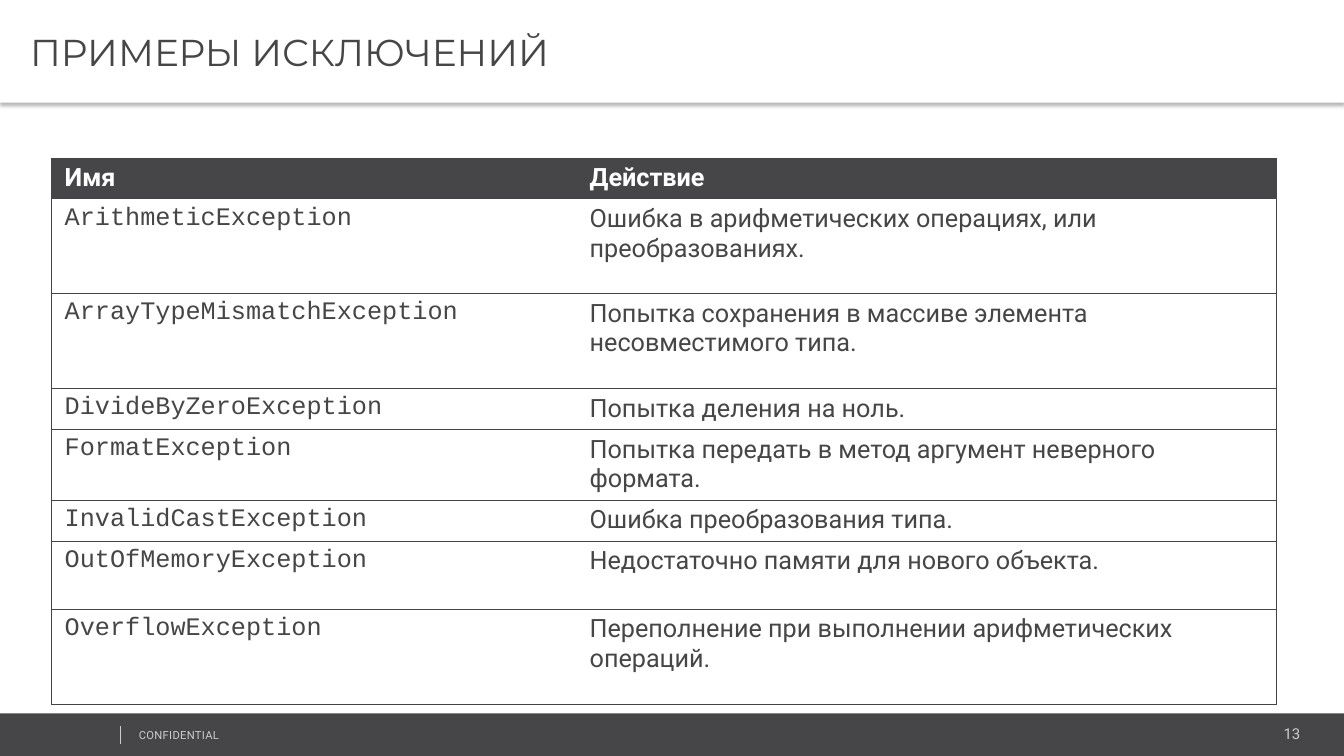
from dataclasses import dataclass

from lxml.etree import SubElement
from pptx import Presentation
from pptx.dml.color import RGBColor as Rgb
from pptx.enum.shapes import MSO_CONNECTOR as Link, MSO_SHAPE as Kind
from pptx.enum.text import MSO_ANCHOR as Anchor, MSO_AUTO_SIZE as Fit, PP_ALIGN as Align
from pptx.oxml.ns import qn
from pptx.shapes.autoshape import Shape
from pptx.slide import Slide
from pptx.table import _Cell as Cell
from pptx.text.text import TextFrame as Frame
from pptx.util import Cm, Pt


@dataclass(frozen=True)
class Theme:
    dark: str = "464547"
    rule: str = "444345"
    pale: str = "CCCCCC"
    white: str = "FFFFFF"
    black: str = "000000"
    head: str = "Montserrat"
    body: str = "Roboto"
    code: str = "Courier New"
    title: float = 26.7
    text: float = 18
    page: float = 10.7
    note: float = 8
    edge: float = 0.75
    thin: float = 0.25


@dataclass(frozen=True)
class Entry:
    name: str
    act: str
    high: float


@dataclass(frozen=True)
class Label:
    text: str
    box: tuple[float, float, float, float]
    size: float
    align: Align
    space: int


THEME = Theme()
WIDE, HIGH = 33.87, 19.05
COLS = (13.23, 17.65)
ENTRIES = (
    Entry("Имя", "Действие", 1),
    Entry("ArithmeticException", "Ошибка в арифметических операциях, или преобразованиях.", 2.39),
    Entry("ArrayTypeMismatchException", "Попытка сохранения в массиве элемента несовместимого типа.", 2.39),
    Entry("DivideByZeroException", "Попытка деления на ноль.", 1.03),
    Entry("FormatException", "Попытка передать в метод аргумент неверного формата.", 1.76),
    Entry("InvalidCastException", "Ошибка преобразования типа.", 1.03),
    Entry("OutOfMemoryException", "Недостаточно памяти для нового объекта.", 1.72),
    Entry("OverflowException", "Переполнение при выполнении арифметических операций.", 2.39),
)
LABELS = (
    Label("13", (27.48, 18.14, 5.54, 0.71), THEME.page, Align.RIGHT, 0),
    Label("CONFIDENTIAL", (3.25, 18.24, 8.59, 0.61), THEME.note, Align.LEFT, 20),
)


def write(frame: Frame, text: str, font: str, size: float, tint: str, bold: bool = False) -> None:
    """Fill a frame with one formatted line of text."""
    frame.text = text
    frame.word_wrap = True
    face = frame.paragraphs[0].runs[0].font
    face.name, face.size, face.bold = font, Pt(size), bold
    face.color.rgb = Rgb.from_string(tint)


def draw_bar(slide: Slide, top: float, high: float, tint: str) -> Shape:
    """Draw a plain bar across the slide."""
    bar = slide.shapes.add_shape(Kind.RECTANGLE, 0, Cm(top), Cm(WIDE), Cm(high))
    bar.shadow.inherit = False
    bar.fill.solid()
    bar.fill.fore_color.rgb = Rgb.from_string(tint)
    bar.line.fill.background()
    return bar


def draw_label(slide: Slide, label: Label) -> None:
    """Draw one footer label."""
    box = slide.shapes.add_textbox(*map(Cm, label.box))
    frame = box.text_frame
    write(frame, label.text, THEME.body, label.size, THEME.pale)
    frame.auto_size = Fit.SHAPE_TO_FIT_TEXT
    line = frame.paragraphs[0]
    line.alignment = label.align
    if label.space:
        line.runs[0].font._element.set("spc", str(label.space))


def draw_foot(slide: Slide) -> None:
    """Draw the footer bar, its labels and the divider."""
    draw_bar(slide, 17.98, HIGH - 17.98, THEME.dark)
    for label in LABELS:
        draw_label(slide, label)
    line = slide.shapes.add_connector(Link.STRAIGHT, Cm(3.02), Cm(18.29), Cm(3.02), Cm(18.75))
    line.line.color.rgb = Rgb.from_string(THEME.pale)
    line.line.width = Pt(THEME.thin)
    SubElement(line._element.spPr, qn("a:effectLst"))


def draw_edge(cell: Cell, side: str, shown: bool) -> None:
    """Set one border of a cell, or clear it."""
    line = SubElement(cell._tc.get_or_add_tcPr(), qn(f"a:ln{side}"), w=str(Pt(THEME.edge)))
    if shown:
        fill = SubElement(line, qn("a:solidFill"))
        SubElement(fill, qn("a:srgbClr"), val=THEME.rule)
    else:
        SubElement(line, qn("a:noFill"))


def draw_cell(cell: Cell, text: str, row: int, col: int) -> None:
    """Fill one table cell and set its borders."""
    top = row == 0
    font = THEME.body if top or col else THEME.code
    write(cell.text_frame, text, font, THEME.text, THEME.white if top else THEME.dark, top)
    cell.margin_left = cell.margin_right = Cm(0.33)
    cell.margin_top = cell.margin_bottom = Cm(0.13)
    for side, shown in (("L", col == 0), ("R", col == 1), ("T", True), ("B", True)):
        draw_edge(cell, side, shown)
    cell.fill.solid()
    cell.fill.fore_color.rgb = Rgb.from_string(THEME.dark if top else THEME.white)


def draw_table(slide: Slide) -> None:
    """Draw the table of exceptions."""
    high = sum(entry.high for entry in ENTRIES)
    table = slide.shapes.add_table(
        len(ENTRIES), len(COLS), Cm(1.3), Cm(3.99), Cm(sum(COLS)), Cm(high)
    ).table
    table.horz_banding = False
    for col, wide in enumerate(COLS):
        table.columns[col].width = Cm(wide)
    for row, entry in enumerate(ENTRIES):
        table.rows[row].height = Cm(entry.high)
        for col, text in enumerate((entry.name, entry.act)):
            draw_cell(table.cell(row, col), text, row, col)


def draw_title(slide: Slide) -> None:
    """Draw the title bar with its soft shadow."""
    bar = draw_bar(slide, 0, 2.59, THEME.white)
    frame = bar.text_frame
    write(frame, "ПРИМЕРЫ ИСКЛЮЧЕНИЙ", THEME.head, THEME.title, THEME.dark)
    frame.vertical_anchor = Anchor.MIDDLE
    frame.margin_left, frame.margin_right = Cm(0.76), Cm(0.18)
    frame.margin_top = frame.margin_bottom = Cm(0.1)
    frame.paragraphs[0].alignment = Align.LEFT
    glow = SubElement(
        bar._element.spPr.find(qn("a:effectLst")), qn("a:outerShdw"),
        blurRad=str(Pt(3.1)), dist=str(Pt(2)), dir="5400000", algn="t", rotWithShape="0",
    )
    tint = SubElement(glow, qn("a:srgbClr"), val=THEME.black)
    SubElement(tint, qn("a:alpha"), val="30000")


def main() -> None:
    """Build the slide and save it."""
    deck = Presentation()
    deck.slide_width, deck.slide_height = Cm(WIDE), Cm(HIGH)
    slide = deck.slides.add_slide(deck.slide_layouts[6])
    draw_foot(slide)
    draw_table(slide)
    draw_title(slide)
    deck.save("out.pptx")


if __name__ == "__main__":
    main()
